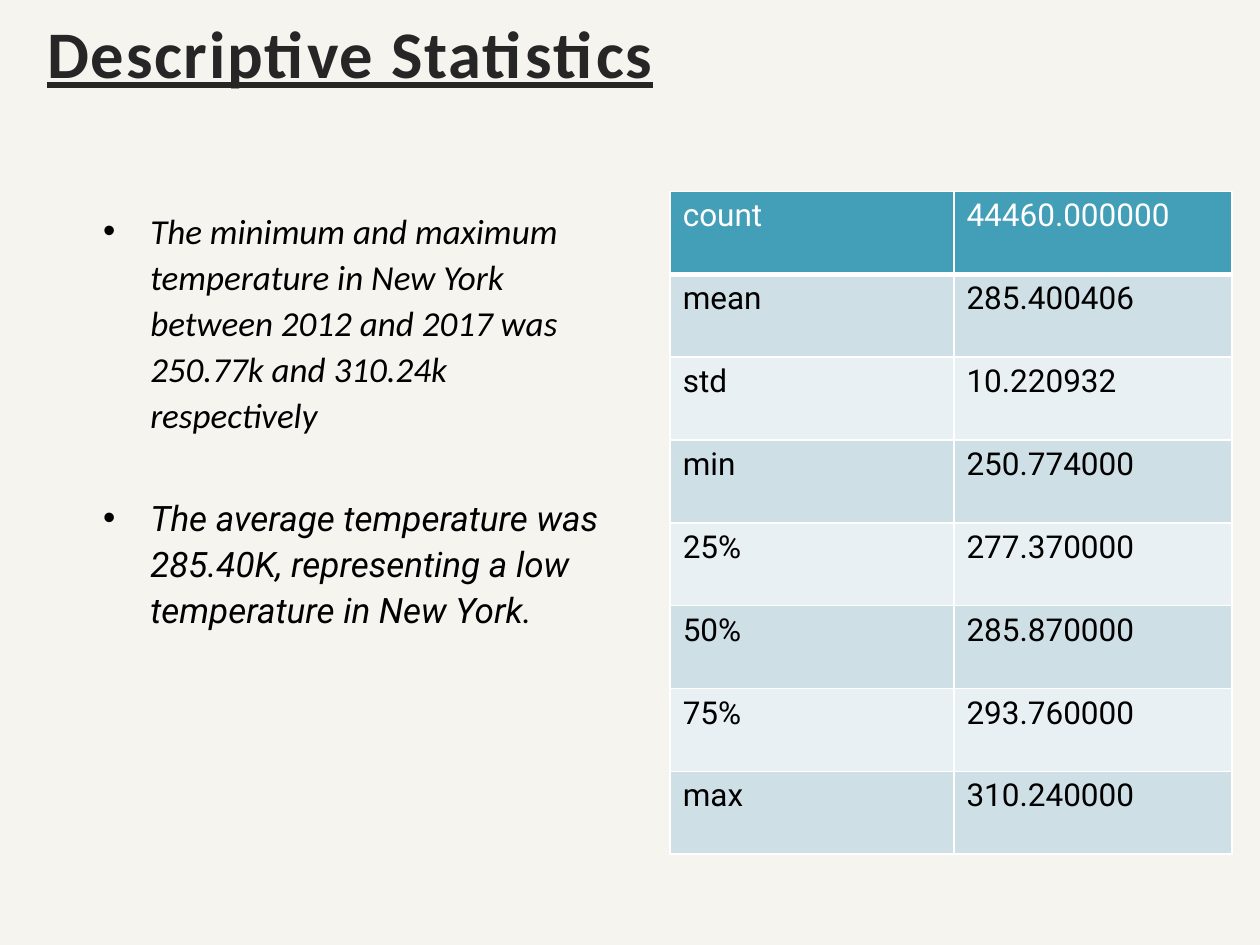
from lxml import etree
from pptx import Presentation
from pptx.dml.color import RGBColor
from pptx.enum.text import MSO_ANCHOR, MSO_AUTO_SIZE, PP_ALIGN
from pptx.oxml.ns import qn
from pptx.util import Cm, Pt

BACKGROUND = RGBColor(0xF6, 0xF4, 0xEF)
TITLE_INK = RGBColor(0x26, 0x26, 0x26)
BLACK = RGBColor(0, 0, 0)
WHITE = RGBColor(0xFF, 0xFF, 0xFF)
HEADER_FILL = RGBColor(0x43, 0x9E, 0xB7)
BANDS = [RGBColor(0xE9, 0xF0, 0xF3), RGBColor(0xCF, 0xDF, 0xE6)]

FINDINGS = [
    ("The minimum and maximum temperature in New York between 2012 and 2017 "
     "was 250.77k and 310.24k respectively", "Calibri"),
    ("The average temperature was 285.40K, representing a low temperature "
     "in New York.", "Roboto"),
]
STATISTICS = [
    ("count", "44460.000000"),
    ("mean", "285.400406"),
    ("std", "10.220932"),
    ("min", "250.774000"),
    ("25%", "277.370000"),
    ("50%", "285.870000"),
    ("75%", "293.760000"),
    ("max", "310.240000"),
]


def style(font, name, size, color):
    font.name = name
    font.size = Pt(size)
    font.color.rgb = color


def add_border(cell, side, points):
    """Draw one white cell edge; call before the cell is filled."""
    line = etree.SubElement(cell._tc.get_or_add_tcPr(), qn(f"a:{side}"),
                            w=str(Pt(points)))
    fill = etree.SubElement(line, qn("a:solidFill"))
    etree.SubElement(fill, qn("a:srgbClr"), val=str(WHITE))


deck = Presentation()
deck.slide_width, deck.slide_height = Cm(25.4), Cm(19.05)
page = deck.slides.add_slide(deck.slide_layouts[5])
page.background.fill.solid()
page.background.fill.fore_color.rgb = BACKGROUND

# Title
title = page.shapes.title
title.left, title.top, title.width, title.height = Cm(0.7), Cm(0.3), Cm(16.75), Cm(2.13)
frame = title.text_frame
frame.text = "Descriptive Statistics"
frame.auto_size = MSO_AUTO_SIZE.NONE
frame.vertical_anchor = MSO_ANCHOR.TOP
para = frame.paragraphs[0]
para.alignment = PP_ALIGN.LEFT
para.line_spacing = 0.9
span = para.runs[0]
style(span.font, "Calibri", 38, TITLE_INK)
span.font.bold = span.font.underline = True
span.font._element.set("spc", "100")

# Bulleted findings
box = page.shapes.add_textbox(Cm(1.83), Cm(4.01), Cm(10.97), Cm(8.94))
frame = box.text_frame
frame.word_wrap = True
for number, (finding, font_name) in enumerate(FINDINGS):
    para = frame.add_paragraph() if number else frame.paragraphs[0]
    para.text = finding
    para.line_spacing = 1.1
    para.space_before = Pt(28 if number else 0)
    para.space_after = Pt(4)
    props = para._p.get_or_add_pPr()
    props.set("marL", str(Cm(0.95)))
    props.set("indent", str(-Cm(0.95)))
    etree.SubElement(props, qn("a:buFont"), typeface="Arial")
    etree.SubElement(props, qn("a:buChar"), char="•")
    span = para.runs[0]
    style(span.font, font_name, 20, BLACK)
    span.font.italic = True

# Statistics table
table = page.shapes.add_table(len(STATISTICS), 2, Cm(13.51), Cm(3.86),
                              Cm(11.33), Cm(13.36)).table
table.columns[0].width, table.columns[1].width = Cm(5.72), Cm(5.61)
for row, values in enumerate(STATISTICS):
    table.rows[row].height = Cm(1.67)
    for column, value in enumerate(values):
        cell = table.cell(row, column)
        cell.text = value
        style(cell.text_frame.paragraphs[0].runs[0].font, "Roboto", 18,
              BLACK if row else WHITE)
        add_border(cell, "lnL", 1)
        add_border(cell, "lnR", 1)
        add_border(cell, "lnT", 3 if row == 1 else 1)
        add_border(cell, "lnB", 1 if row else 3)
        cell.fill.solid()
        cell.fill.fore_color.rgb = BANDS[row % 2] if row else HEADER_FILL

deck.save("out.pptx")
